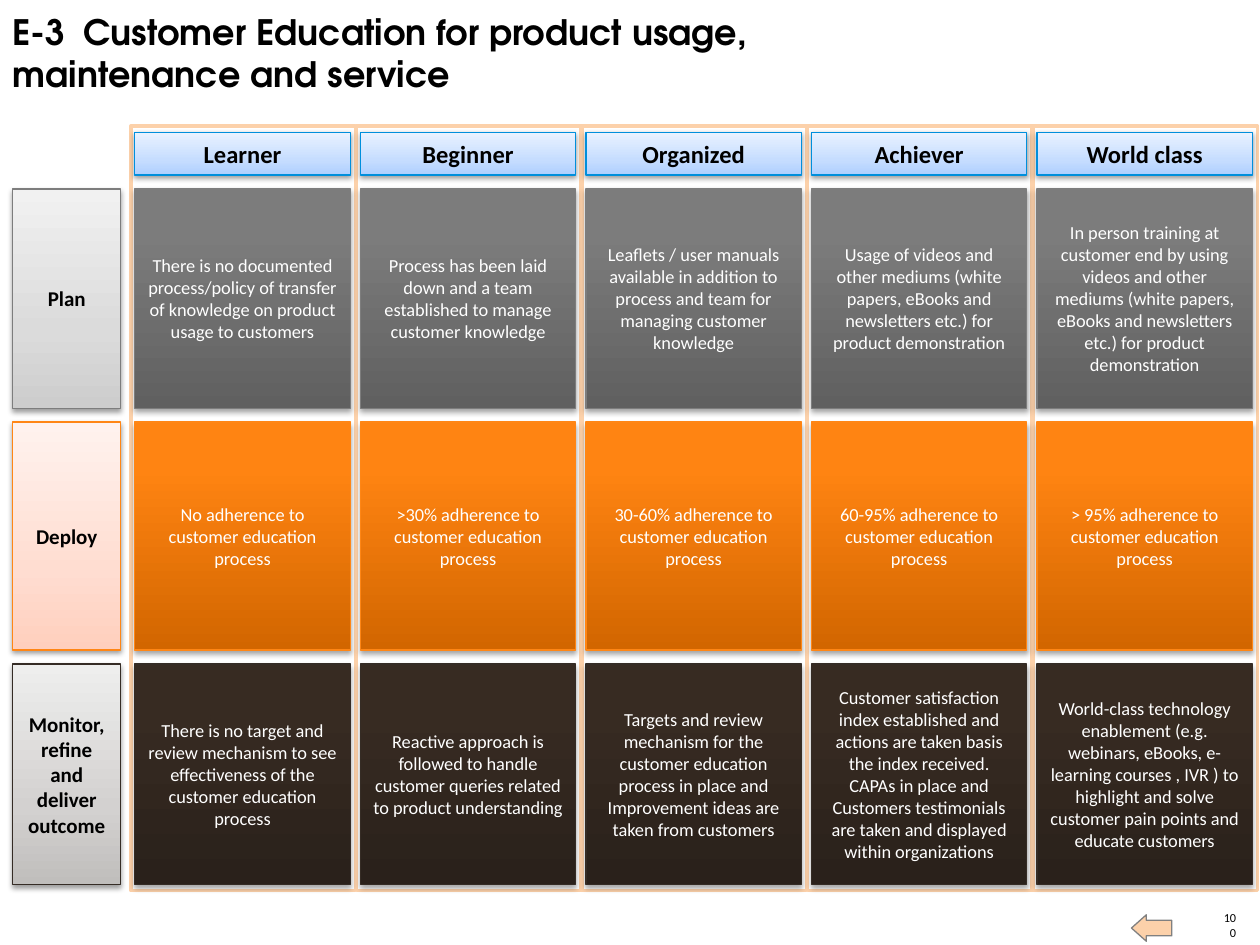
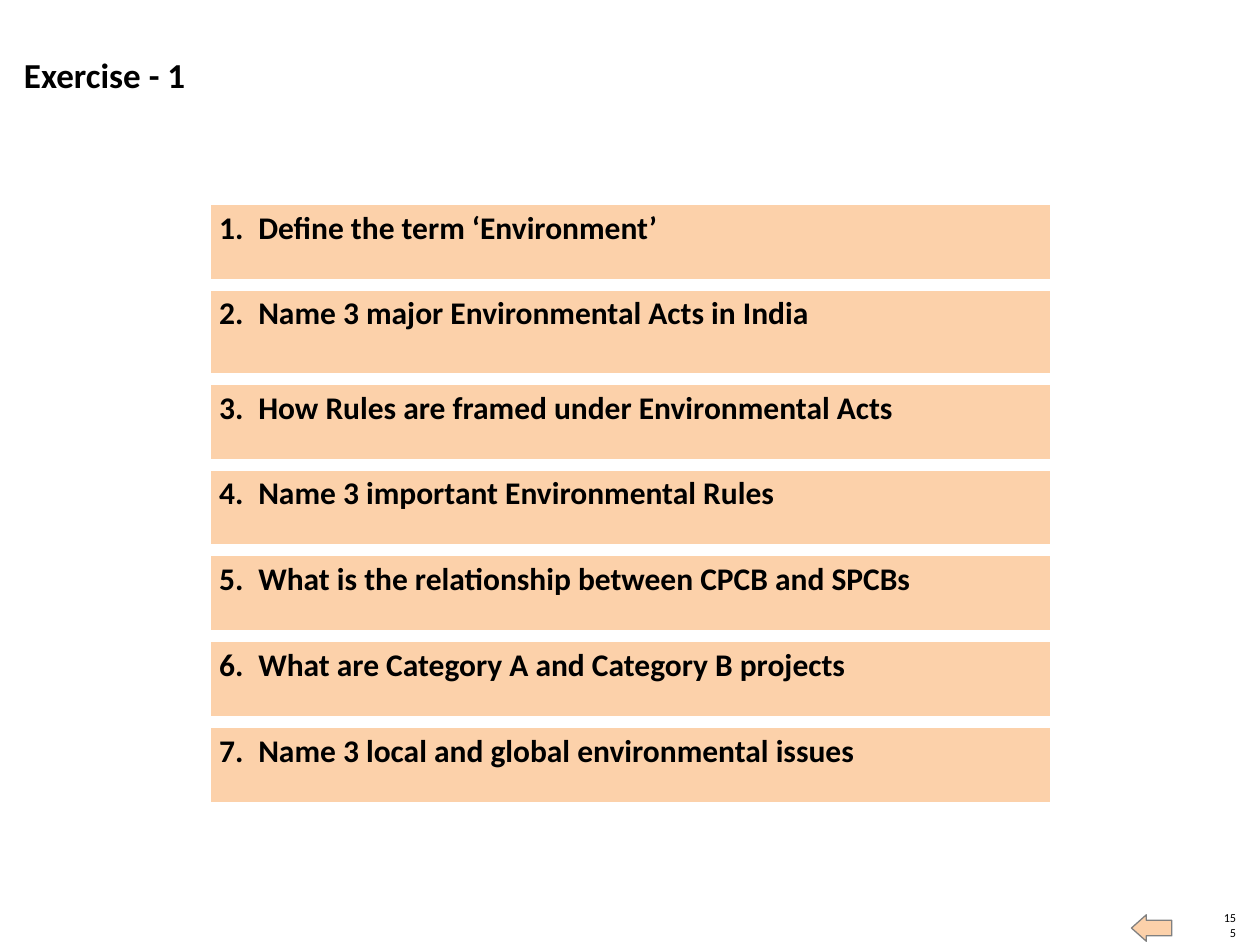
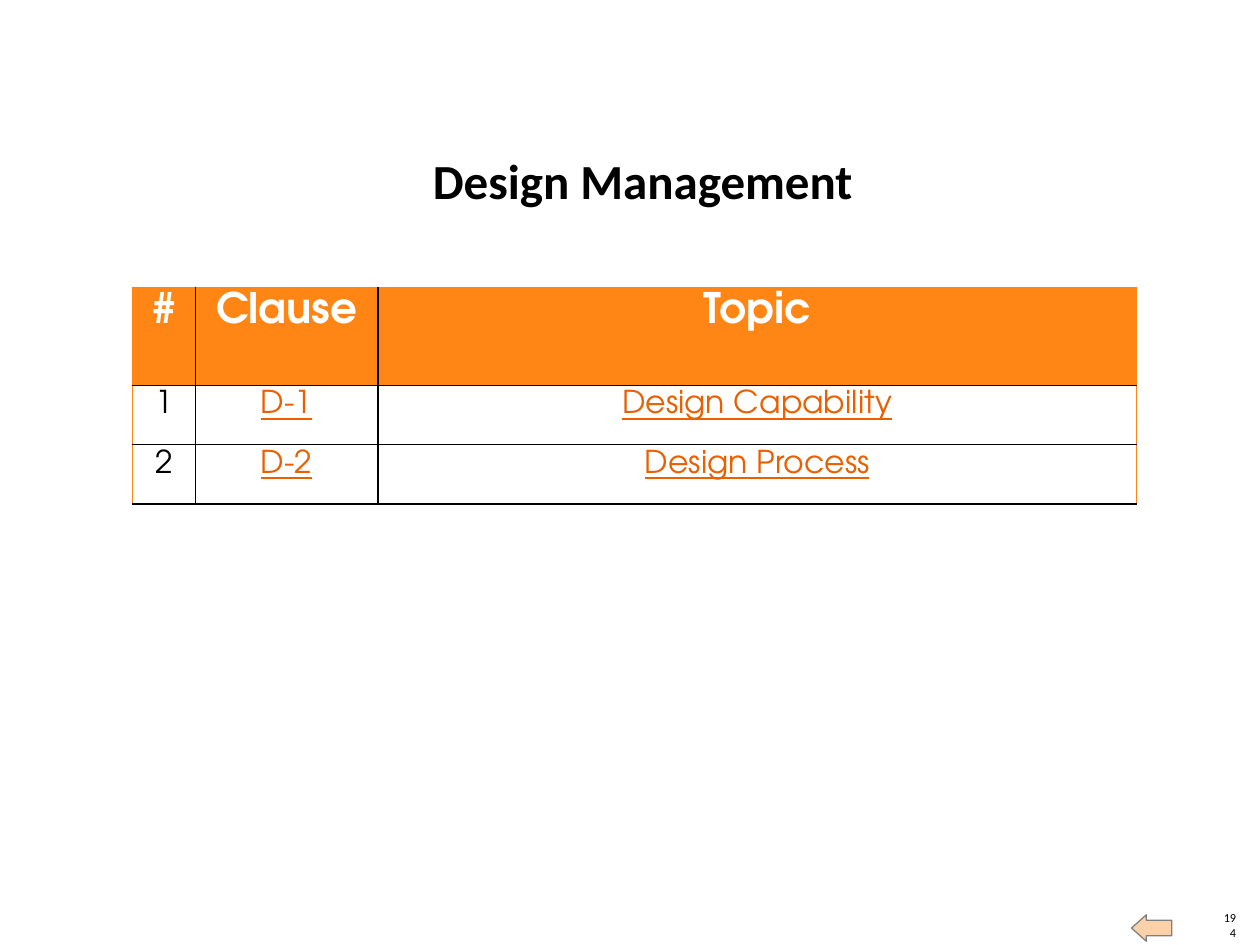
from dataclasses import dataclass

from lxml.etree import SubElement
from pptx import Presentation
from pptx.dml.color import RGBColor
from pptx.enum.shapes import MSO_SHAPE as SHAPE
from pptx.enum.text import MSO_ANCHOR as ANCHOR, MSO_AUTO_SIZE as AUTO_SIZE, PP_ALIGN as ALIGN
from pptx.oxml.ns import qn
from pptx.util import Emu, Pt

EMU_PER_PX = 9144  # 100 px to the inch

BLACK = RGBColor(0x00, 0x00, 0x00)
WHITE = RGBColor(0xFF, 0xFF, 0xFF)
PEACH = RGBColor(0xFC, 0xD1, 0xAA)
ORANGE = RGBColor(0xFF, 0x86, 0x15)
LINK = RGBColor(0xEA, 0x5F, 0x00)
GREY = RGBColor(0x7D, 0x7D, 0x7D)
ARROW_GREY = RGBColor(0x80, 0x80, 0x80)
BROWN = RGBColor(0x35, 0x2C, 0x25)
BLUE = RGBColor(0x00, 0x8F, 0xDC)

SANS = "Calibri"
GEOMETRIC = "TeX Gyre Adventor"


@dataclass(frozen=True)
class Box:
    x: int
    y: int
    w: int
    h: int


@dataclass(frozen=True)
class Font:
    size: float
    name: str = SANS
    color: RGBColor = BLACK
    bold: bool = False
    underline: bool = False


@dataclass(frozen=True)
class Gradient:
    """Three colours from bottom to top, the middle one at `middle` percent."""
    colors: tuple[str, str, str]
    middle: int


@dataclass(frozen=True)
class Shadow:
    alpha: int
    distance: int


@dataclass(frozen=True)
class CardStyle:
    gradient: Gradient
    line: RGBColor
    font: Font
    shadow: Shadow


@dataclass(frozen=True)
class Stage:
    label: str
    y: int
    h: int
    label_style: CardStyle
    cell_style: CardStyle
    cells: tuple[str, ...]


@dataclass(frozen=True)
class Border:
    color: RGBColor
    width: float


LIGHT_SHADOW = Shadow(38, 20000)
DARK_SHADOW = Shadow(35, 23000)
LABEL_FONT = Font(12, bold=True)
CELL_FONT = Font(10.5, color=WHITE)


def label_style(line: RGBColor, *colors: str, font: Font = LABEL_FONT) -> CardStyle:
    return CardStyle(Gradient(colors, 35), line, font, LIGHT_SHADOW)


def cell_style(line: RGBColor, *colors: str) -> CardStyle:
    return CardStyle(Gradient(colors, 80), line, CELL_FONT, DARK_SHADOW)


LEVEL_STYLE = label_style(BLUE, "AECFFF", "C6DDFF", "E9F2FF", font=Font(14, bold=True))
LEVELS = ("Learner", "Beginner", "Organized", "Achiever", "World class")
STAGES = (
    Stage(
        "Plan", 150, 174,
        label_style(GREY, "CDCDCD", "DBDBDB", "F1F1F1"),
        cell_style(GREY, "606060", "7C7C7C", "7D7D7D"),
        (
            "There is no documented process/policy of transfer of knowledge on product "
            "usage to customers",
            "Process has been laid down and a team established to manage customer knowledge",
            "Leaflets / user manuals available in addition to process and team for "
            "managing customer knowledge",
            "Usage of videos and other mediums (white papers, eBooks and newsletters etc.) "
            "for product demonstration",
            "In person training at customer end by using videos and other mediums (white "
            "papers, eBooks and newsletters etc.) for product demonstration",
        ),
    ),
    Stage(
        "Deploy", 335, 181,
        label_style(ORANGE, "FFCFBD", "FFDDD1", "FFF2EE"),
        cell_style(ORANGE, "D26600", "FF8412", "FF8514"),
        tuple(
            f"{share} adherence to customer education process"
            for share in ("No", ">30%", "30-60%", "60-95%", "> 95%")
        ),
    ),
    Stage(
        "Monitor, refine and deliver outcome", 527, 175,
        label_style(BROWN, "C0BEBC", "D3D1D0", "EEEEED"),
        cell_style(BROWN, "2A211B", "372B22", "372B22"),
        (
            "There is no target and review mechanism to see effectiveness of the customer "
            "education process",
            "Reactive approach is followed to handle customer queries related to product "
            "understanding",
            "Targets and review mechanism for the customer education process in place and "
            "Improvement ideas are taken from customers",
            "Customer satisfaction index established and actions are taken basis the index "
            "received. CAPAs in place and Customers testimonials are taken and displayed "
            "within organizations",
            "World-class technology enablement (e.g. webinars, eBooks, e-learning courses "
            ", IVR ) to highlight and solve customer pain points and educate customers",
        ),
    ),
)
QUESTIONS = (
    "Define the term ‘Environment’",
    "Name 3 major Environmental Acts in India",
    "How Rules are framed under Environmental Acts",
    "Name 3 important Environmental Rules",
    "What is the relationship between CPCB and SPCBs",
    "What are Category A and Category B projects",
    "Name 3 local and global environmental issues",
)
CLAUSES = (
    ("#", "Clause", "Topic"),
    ("1", "D-1", "Design Capability"),
    ("2", "D-2", "Design Process"),
)


def px(n: int) -> Emu:
    return Emu(n * EMU_PER_PX)


def place(box: Box) -> tuple[Emu, Emu, Emu, Emu]:
    return px(box.x), px(box.y), px(box.w), px(box.h)


def write(tf, text: str, font: Font, align=ALIGN.LEFT, tab: int = 0) -> None:
    """Fill the first paragraph, with one tab stop at `tab` px if given."""
    p = tf.paragraphs[0]
    p.alignment = align
    if tab:
        tabs = SubElement(p._p.get_or_add_pPr(), qn("a:tabLst"))
        SubElement(tabs, qn("a:tab"), pos=str(px(tab)), algn="l")
    r = p.add_run()
    r.text = text
    r.font.name = font.name
    r.font.size = Pt(font.size)
    r.font.bold = font.bold
    r.font.underline = font.underline
    r.font.color.rgb = font.color


def set_insets(tf, side: int, top: int) -> None:
    tf.margin_left = tf.margin_right = px(side)
    tf.margin_top = tf.margin_bottom = px(top)


def add_shape(slide, kind, box: Box, fill: RGBColor | Gradient, line: RGBColor, width: float):
    sp = slide.shapes.add_shape(kind, *place(box))
    if isinstance(fill, Gradient):
        sp.fill.gradient()
        sp.fill.gradient_angle = 90
        stops = sp._element.spPr.find(qn("a:gradFill")).find(qn("a:gsLst"))
        stops.clear()
        for pos, color in zip((0, fill.middle, 100), fill.colors):
            gs = SubElement(stops, qn("a:gs"), pos=str(pos * 1000))
            SubElement(gs, qn("a:srgbClr"), val=color)
    else:
        sp.fill.solid()
        sp.fill.fore_color.rgb = fill
    sp.line.color.rgb = line
    sp.line.width = Pt(width)
    sp.shadow.inherit = False
    return sp


def add_card(slide, box: Box, text: str, style: CardStyle) -> None:
    sp = add_shape(slide, SHAPE.RECTANGLE, box, style.gradient, style.line, 0.75)
    effects = sp._element.spPr.find(qn("a:effectLst"))
    shadow = SubElement(
        effects, qn("a:outerShdw"), blurRad="40000", dist=str(style.shadow.distance),
        dir="5400000", rotWithShape="0",
    )
    color = SubElement(shadow, qn("a:srgbClr"), val="000000")
    SubElement(color, qn("a:alpha"), val=str(style.shadow.alpha * 1000))
    write(sp.text_frame, text, style.font, ALIGN.CENTER)


def add_table(slide, box: Box, widths: tuple[int, ...], heights: tuple[int, ...]):
    table = slide.shapes.add_table(len(heights), len(widths), *place(box)).table
    table.first_row = table.horz_banding = False
    for column, width in zip(table.columns, widths):
        column.width = px(width)
    for row, height in zip(table.rows, heights):
        row.height = px(height)
    return table


def style_cell(cell, fill: RGBColor, left: Border, right: Border, top: Border,
               bottom: Border) -> None:
    tcPr = cell._tc.get_or_add_tcPr()
    for side, border in zip("LRTB", (left, right, top, bottom)):
        ln = SubElement(tcPr, qn(f"a:ln{side}"), w=str(Pt(border.width)))
        SubElement(SubElement(ln, qn("a:solidFill")), qn("a:srgbClr"), val=str(border.color))
    cell.fill.solid()
    cell.fill.fore_color.rgb = fill
    set_insets(cell, 7, 4)


def new_slide(prs, number: str, title: str, box: Box, font: Font, inset: tuple[int, int],
              anchor=ANCHOR.BOTTOM, align=ALIGN.LEFT, tab: int = 0):
    """Add a slide with its title, page number and back arrow."""
    slide = prs.slides.add_slide(prs.slide_layouts[5])
    sp = slide.shapes.title
    sp.left, sp.top, sp.width, sp.height = place(box)
    tf = sp.text_frame
    tf.auto_size = AUTO_SIZE.NONE
    tf.word_wrap = True
    tf.vertical_anchor = anchor
    set_insets(tf, *inset)
    write(tf, title, font, align, tab)

    tf = slide.shapes.add_textbox(*place(Box(969, 734, 12, 12))).text_frame
    tf.word_wrap = True
    tf.vertical_anchor = ANCHOR.BOTTOM
    set_insets(tf, 0, 0)
    write(tf, number, Font(7), ALIGN.RIGHT)

    arrow = add_shape(slide, SHAPE.RIGHT_ARROW, Box(898, 726, 32, 21), PEACH, ARROW_GREY, 0.75)
    arrow.rotation = 180
    arrow.adjustments[0], arrow.adjustments[1] = 0.59, 0.56
    return slide


def build_maturity_slide(prs) -> None:
    slide = new_slide(
        prs, "100", "E-3\tCustomer Education for product usage, maintenance and service",
        Box(0, 3, 742, 77), Font(20, GEOMETRIC, bold=True), (10, 5), ANCHOR.TOP, tab=56,
    )
    for stage in STAGES:
        add_card(slide, Box(10, stage.y, 86, stage.h), stage.label, stage.label_style)
    pitch = 179
    for i in range(len(LEVELS)):
        add_shape(slide, SHAPE.RECTANGLE, Box(104 + i * pitch, 100, 178, 607), WHITE, PEACH, 2)
    for i, level in enumerate(LEVELS):
        x = 107 + i * pitch
        add_card(slide, Box(x, 105, 171, 34), level, LEVEL_STYLE)
        for stage in STAGES:
            add_card(slide, Box(x, stage.y, 171, stage.h), stage.cells[i], stage.cell_style)


def build_exercise_slide(prs) -> None:
    slide = new_slide(prs, "155", "Exercise - 1", Box(19, 42, 765, 34),
                      Font(20, bold=True), (0, 0))
    thin, thick = Border(WHITE, 1), Border(WHITE, 3)
    y, gap = 162, 7
    for number, question in enumerate(QUESTIONS, 1):
        h = 68 if number == 2 else 61
        cell = add_table(slide, Box(167, y, 667, h), (667,), (h,)).cell(0, 0)
        style_cell(cell, PEACH, thin, thin, thin, thick)
        write(cell.text_frame, f"{number}.\t{question}", Font(18, bold=True), tab=31)
        y += h + gap


def build_design_slide(prs) -> None:
    slide = new_slide(prs, "194", "Design Management", Box(303, 119, 414, 47),
                      Font(28, bold=True), (0, 0), align=ALIGN.CENTER)
    table = add_table(slide, Box(105, 228, 797, 172), (50, 145, 602), (78, 47, 47))
    inner, outer = Border(BLACK, 1), Border(ORANGE, 0.75)
    header = Font(24, GEOMETRIC, WHITE, bold=True)
    plain = Font(18, GEOMETRIC)
    link = Font(18, GEOMETRIC, LINK, underline=True)
    for i, row in enumerate(CLAUSES):
        for j, text in enumerate(row):
            cell = table.cell(i, j)
            style_cell(
                cell, ORANGE if i == 0 else WHITE,
                left=outer if j == 0 else inner,
                right=outer if j == len(row) - 1 else inner,
                top=outer if i == 0 else inner,
                bottom=inner,
            )
            font = header if i == 0 else plain if j == 0 else link
            write(cell.text_frame, text, font, ALIGN.CENTER)


def main() -> None:
    prs = Presentation()
    prs.slide_width, prs.slide_height = px(1000), px(750)
    build_maturity_slide(prs)
    build_exercise_slide(prs)
    build_design_slide(prs)
    prs.save("out.pptx")


if __name__ == "__main__":
    main()
